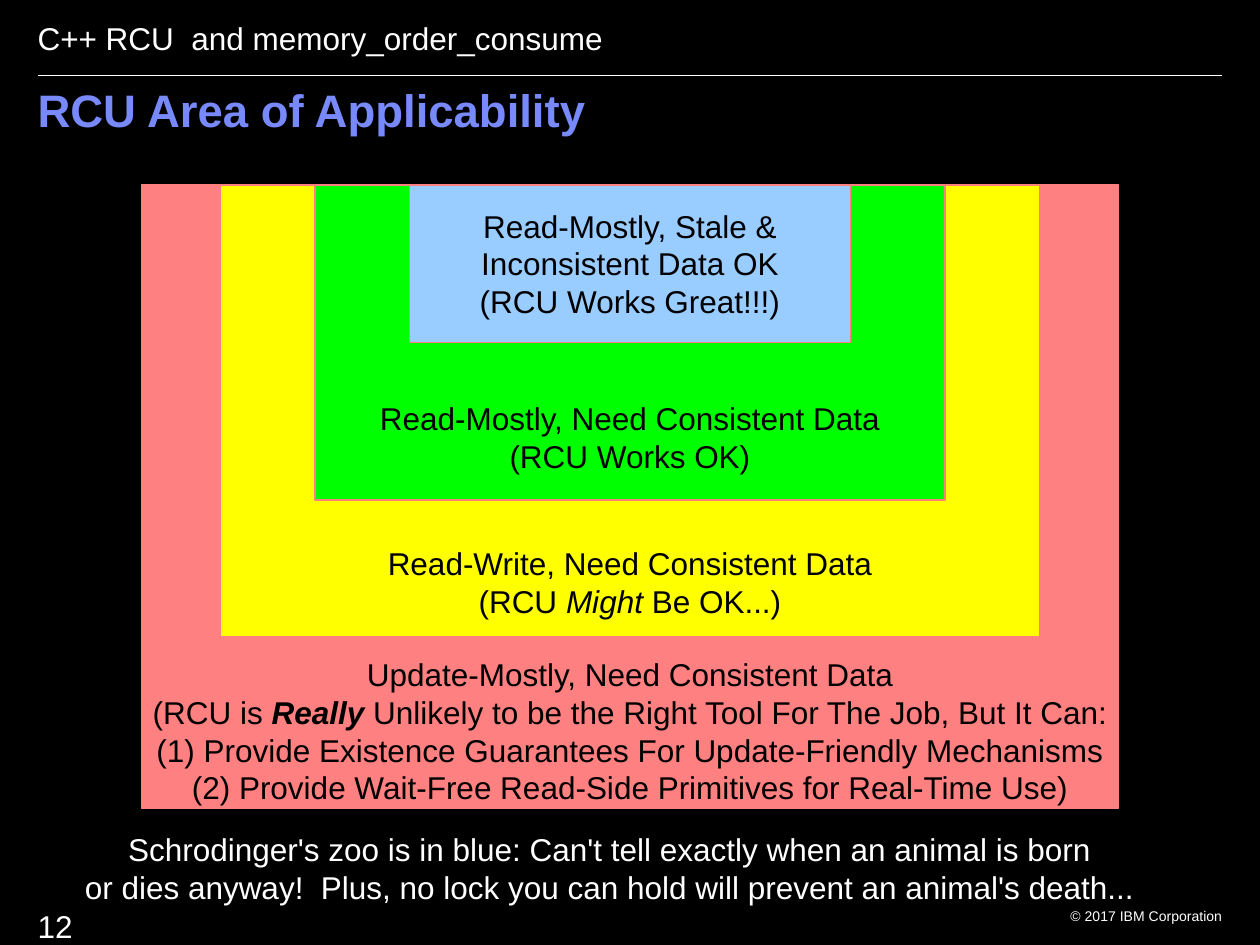
import dataclasses

import pptx
import pptx.dml.color
import pptx.enum.shapes
import pptx.enum.text
import pptx.oxml
import pptx.oxml.ns
import pptx.util

ALIGN = pptx.enum.text.PP_ALIGN
ANCHOR = pptx.enum.text.MSO_ANCHOR
COLUMNS, ROWS, CELL = 80, 60, 0.125


@dataclasses.dataclass(frozen=True)
class Theme:
    """Colours, font and type sizes of the deck."""
    font: str = "Arial"
    background: str = "000000"
    light: str = "FFFFFF"
    dark: str = "000000"
    title: str = "7889FB"
    edge: str = "FF8080"
    unlikely: str = "FF8080"
    maybe: str = "FFFF00"
    good: str = "00FF00"
    great: str = "99CCFF"
    title_size: int = 26
    body_size: int = 18
    credit_size: int = 8


THEME = Theme()


def color(value):
    """Return a colour object for a hex value."""
    return pptx.dml.color.RGBColor.from_string(value)


def cells(*counts):
    """Turn counts of grid cells into lengths."""
    return [pptx.util.Inches(count * CELL) for count in counts]


def apply_format(target, values):
    """Set each named attribute on the target."""
    for name, value in values.items():
        setattr(target, name, value)


def write_lines(frame, lines, ink, size, align=ALIGN.LEFT, bold=False, spacing=None):
    """Write lines, each a string or a list of (text, font format) spans."""
    for index, line in enumerate(lines):
        para = frame.paragraphs[0] if index == 0 else frame.add_paragraph()
        apply_format(para, {"alignment": align, "line_spacing": spacing})
        for text, extra in [(line, {})] if isinstance(line, str) else line:
            span = para.add_run()
            span.text = text
            style = {"name": THEME.font, "size": pptx.util.Pt(size), "bold": bold}
            apply_format(span.font, {**style, **extra})
            span.font.color.rgb = color(ink)


def add_text(page, place, lines, ink=THEME.light, size=THEME.body_size, wrap=True, **style):
    """Add a text box at a grid place."""
    box = page.shapes.add_textbox(*cells(*place))
    box.text_frame.word_wrap = wrap
    write_lines(box.text_frame, lines, ink, size, **style)


def add_zone(page, columns, rows, fill, bottom_gap, lines):
    """Add a centred zone hanging from the shared top edge."""
    place = cells((COLUMNS - columns) / 2, 11.75, columns, rows)
    zone = page.shapes.add_shape(pptx.enum.shapes.MSO_SHAPE.RECTANGLE, *place)
    zone.shadow.inherit = False
    zone.fill.solid()
    zone.fill.fore_color.rgb = color(fill)
    zone.line.color.rgb = color(THEME.edge)
    zone.line.width = 0
    apply_format(zone.text_frame, {
        "word_wrap": False,
        "vertical_anchor": ANCHOR.BOTTOM,
        "margin_bottom": pptx.util.Inches(bottom_gap),
    })
    write_lines(zone.text_frame, lines, THEME.dark, THEME.body_size, ALIGN.CENTER)


def add_rule(page, left, right, row):
    """Add a thin horizontal rule."""
    straight = pptx.enum.shapes.MSO_CONNECTOR.STRAIGHT
    rule = page.shapes.add_connector(straight, *cells(left, row, right, row))
    rule.line.color.rgb = color(THEME.light)
    rule.line.width = pptx.util.Pt(0.75)
    properties = rule.element.find(pptx.oxml.ns.qn("p:spPr"))
    namespaces = pptx.oxml.ns.nsdecls("a")
    properties.append(pptx.oxml.parse_xml(f"<a:effectLst {namespaces}/>"))


def main():
    """Build and save the slide."""
    deck = pptx.Presentation()
    deck.slide_width, deck.slide_height = cells(COLUMNS, ROWS)
    page = deck.slides.add_slide(deck.slide_layouts[6])
    page.background.fill.solid()
    page.background.fill.fore_color.rgb = color(THEME.background)

    add_rule(page, 2.4, 77.6, 4.8)
    add_text(page, (66.4, 57.2, 12, 1.6), ["© 2017 IBM Corporation"],
             size=THEME.credit_size, align=ALIGN.RIGHT)
    add_text(page, (1.6, 0.8, 37.5, 3.2), ["C++ RCU  and memory_order_consume"], wrap=False)
    add_text(page, (1.6, 5.2, 76, 5.6), ["RCU Area of Applicability"],
             ink=THEME.title, size=THEME.title_size, bold=True, spacing=0.9)

    zones = [
        (62, 39.6, THEME.unlikely, 0.02, [
            "Update-Mostly, Need Consistent Data",
            [("(RCU is ", {}), ("Really", {"bold": True, "italic": True}),
             (" Unlikely to be the Right Tool For The Job, But It Can:", {})],
            "(1) Provide Existence Guarantees For Update-Friendly Mechanisms",
            "(2) Provide Wait-Free Read-Side Primitives for Real-Time Use)"]),
        (52, 28.7, THEME.maybe, 0.14, [
            "Read-Write, Need Consistent Data",
            [("(RCU ", {}), ("Might", {"italic": True}), (" Be OK...)", {})]]),
        (40, 20, THEME.good, 0.2, [
            "Read-Mostly, Need Consistent Data", "(RCU Works OK)"]),
        (28, 10, THEME.great, 0.18, [
            "Read-Mostly, Stale &", "Inconsistent Data OK", "(RCU Works Great!!!)"]),
    ]
    for zone in zones:
        add_zone(page, *zone)

    add_text(page, (4, 52.3, 69.4, 5.6), [
        "Schrodinger's zoo is in blue: Can't tell exactly when an animal is born",
        "or dies anyway!  Plus, no lock you can hold will prevent an animal's death...",
    ], align=ALIGN.CENTER)
    add_text(page, (1.6, 57.2, 7.6, 3.2), ["12"])
    deck.save("out.pptx")


if __name__ == "__main__":
    main()
